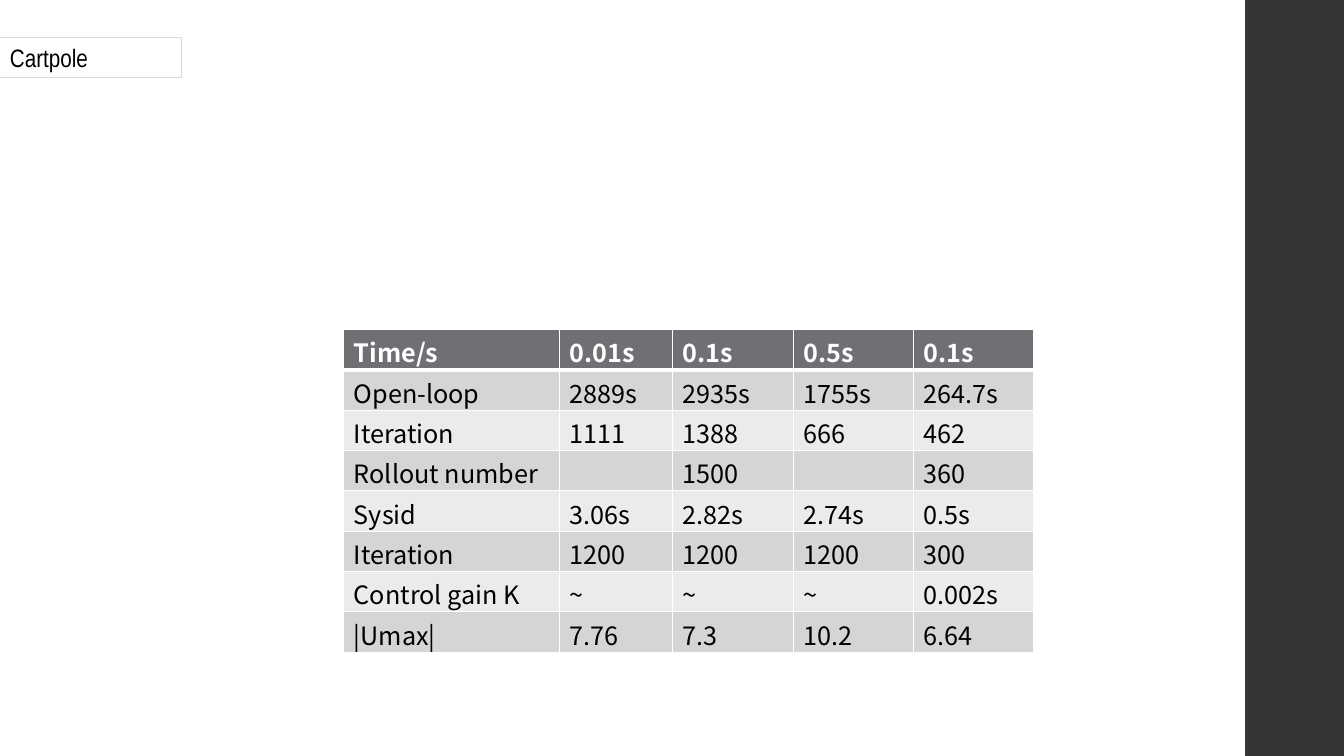
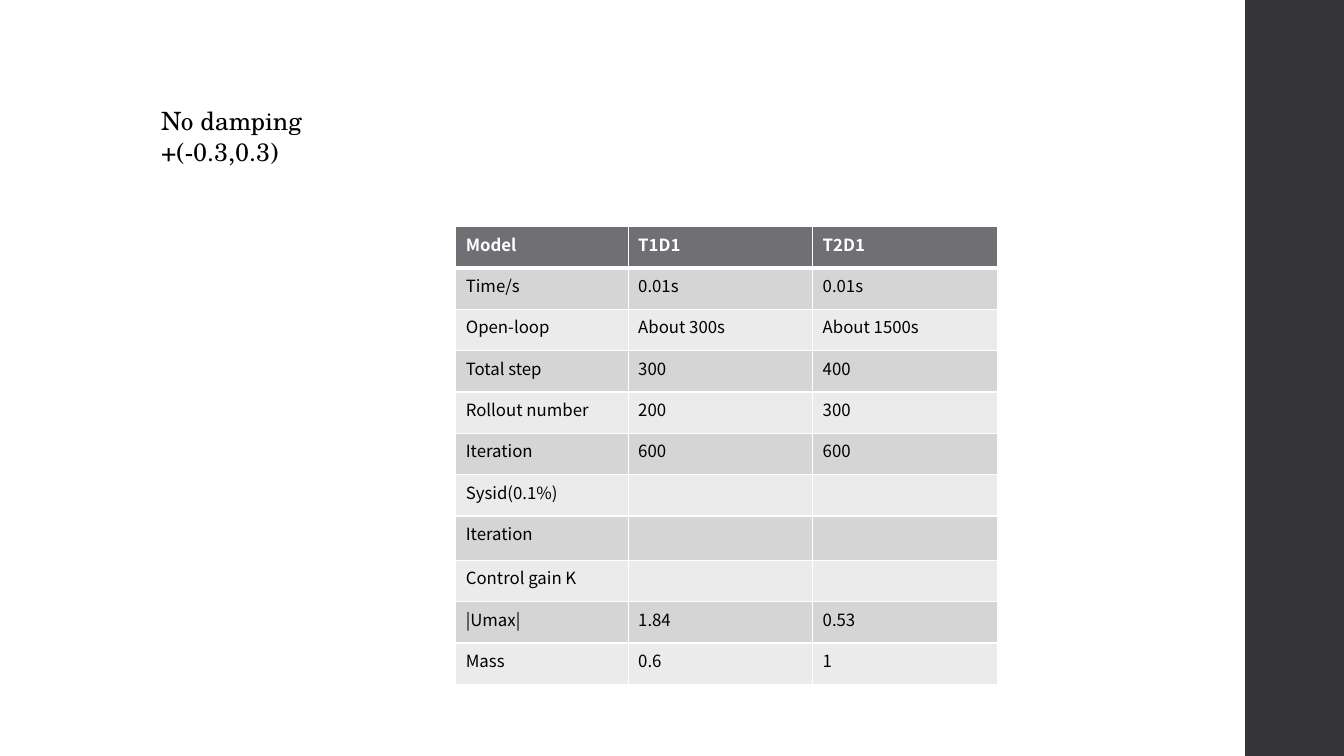
from lxml import etree
from pptx import Presentation
from pptx import util as u
from pptx.dml.color import RGBColor
from pptx.enum import shapes, text
from pptx.oxml import ns

PX = 9144
SLIDE = (1333, 750)
COLORS = {
    "panel": "353537",
    "header": "6F6F74",
    "band_dark": "D5D5D6",
    "band_light": "EBEBEB",
    "label_line": "D9D9D9",
    "white": "FFFFFF",
    "black": "000000",
}
FORMATS = {
    "label": {"name": "Arial Narrow", "size": u.Pt(18)},
    "note": {"name": "TeX Gyre Schola", "size": u.Pt(18)},
    "large_cell": {"name": "Noto Sans CJK SC", "size": u.Pt(18)},
    "small_cell": {"name": "Noto Sans CJK SC", "size": u.Pt(12)},
}
LARGE_MARGINS = {"margin_top": 4 * PX, "margin_bottom": 0}

CARTPOLE_RESULTS = [
    ["Time/s", "0.01s", "0.1s", "0.5s", "0.1s"],
    ["Open-loop", "2889s", "2935s", "1755s", "264.7s"],
    ["Iteration", "1111", "1388", "666", "462"],
    ["Rollout number", "", "1500", "", "360"],
    ["Sysid", "3.06s", "2.82s", "2.74s", "0.5s"],
    ["Iteration", "1200", "1200", "1200", "300"],
    ["Control gain K", "~", "~", "~", "0.002s"],
    ["|Umax|", "7.76", "7.3", "10.2", "6.64"],
]
DAMPING_RESULTS = [
    ["Model", "T1D1", "T2D1"],
    ["Time/s", "0.01s", "0.01s"],
    ["Open-loop", "About 300s", "About 1500s"],
    ["Total step", "300", "400"],
    ["Rollout number", "200", "300"],
    ["Iteration", "600", "600"],
    ["Sysid(0.1%)", "", ""],
    ["Iteration", "", ""],
    ["Control gain K", "", ""],
    ["|Umax|", "1.84", "0.53"],
    ["Mass", "0.6", "1"],
]


def rgb(role):
    """Return the colour of a role."""
    return RGBColor.from_string(COLORS[role])


def emu(box):
    """Turn a box in px into EMU."""
    return [side * PX for side in box]


def paint(fill, role):
    """Apply a solid fill."""
    fill.solid()
    fill.fore_color.rgb = rgb(role)


def write(paragraph, words, style, role="black", bold=False):
    """Write one formatted run."""
    run = paragraph.add_run()
    run.text = words
    for key, value in {**FORMATS[style], "bold": bold}.items():
        setattr(run.font, key, value)
    run.font.color.rgb = rgb(role)


def start_slide(deck):
    """Add a blank slide with the dark panel at its right edge."""
    slide = deck.slides.add_slide(deck.slide_layouts[6])
    panel = slide.shapes.add_shape(
        shapes.MSO_SHAPE.RECTANGLE, *emu((1235, 0, SLIDE[0] - 1235, SLIDE[1])))
    panel.shadow.inherit = False
    paint(panel.fill, "panel")
    panel.line.fill.background()
    return slide


def add_note(slide, box, lines, style):
    """Place a left-aligned text box with one paragraph per line."""
    note = slide.shapes.add_textbox(*emu(box))
    frame = note.text_frame
    frame.word_wrap = True
    frame.auto_size = text.MSO_AUTO_SIZE.SHAPE_TO_FIT_TEXT
    for index, line in enumerate(lines):
        paragraph = frame.add_paragraph() if index else frame.paragraphs[0]
        write(paragraph, line, style)
    return note


def add_label(slide, box, words):
    """Place a topic label with a thin frame and a translucent fill."""
    label = add_note(slide, box, [words], "label")
    paint(label.fill, "white")
    tint = label.fill._xPr.find(".//" + ns.qn("a:srgbClr"))
    etree.SubElement(tint, ns.qn("a:alpha"), val="46000")
    label.line.color.rgb = rgb("label_line")
    label.line.width = u.Pt(0.75)


def add_borders(cell, row):
    """Draw white cell borders, heavier under the header row."""
    properties = cell._tc.get_or_add_tcPr()
    heavy = {(0, "B"), (1, "T")}
    for side in "LRTB":
        width = u.Pt(3 if (row, side) in heavy else 1)
        border = etree.SubElement(properties, ns.qn("a:ln" + side), w=str(width))
        solid = etree.SubElement(border, ns.qn("a:solidFill"))
        etree.SubElement(solid, ns.qn("a:srgbClr"), val=COLORS["white"])


def add_results(slide, corner, widths, heights, results, style, margins):
    """Place a results table with a dark header and banded rows."""
    box = emu((*corner, sum(widths), sum(heights)))
    table = slide.shapes.add_table(len(heights), len(widths), *box).table
    table.first_row = table.horz_banding = False
    for column, width in zip(table.columns, widths):
        column.width = width * PX
    for index, (row, height, values) in enumerate(zip(table.rows, heights, results)):
        row.height = height * PX
        band = ("band_dark" if index % 2 else "band_light") if index else "header"
        for cell, value in zip(row.cells, values):
            for key, margin in margins.items():
                setattr(cell, key, margin)
            add_borders(cell, index)
            paint(cell.fill, band)
            if value:
                write(cell.text_frame.paragraphs[0], value, style,
                      "black" if index else "white", not index)


def cartpole_slide(deck):
    """Build the cartpole slide."""
    slide = start_slide(deck)
    add_label(slide, (0, 37, 180, 40), "Cartpole")
    add_results(slide, (341, 327), [214, 112, 120, 119, 119], [40] * 8,
                CARTPOLE_RESULTS, "large_cell", LARGE_MARGINS)


def damping_slide(deck):
    """Build the slide without damping."""
    slide = start_slide(deck)
    add_results(slide, (452, 225), [171, 183, 183], [41] * 7 + [44] + [41] * 3,
                DAMPING_RESULTS, "small_cell", {})
    add_note(slide, (150, 100, 177, 71), ["No damping", "+(-0.3,0.3)"], "note")


def main():
    """Build and save the deck."""
    deck = Presentation()
    deck.slide_width, deck.slide_height = emu(SLIDE)
    cartpole_slide(deck)
    damping_slide(deck)
    deck.save("out.pptx")


if __name__ == "__main__":
    main()
